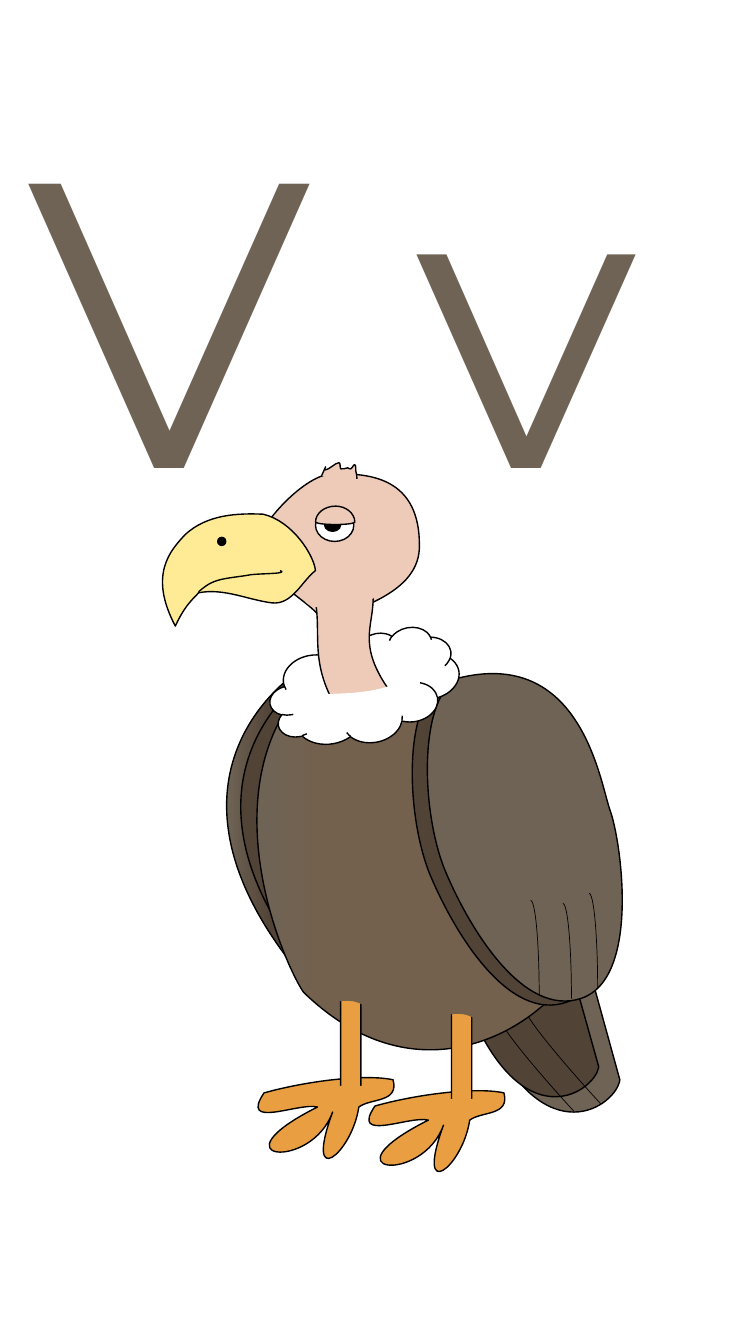
from math import cos, radians, sin

from lxml.etree import SubElement
from pptx import Presentation
from pptx.dml.color import RGBColor
from pptx.enum.shapes import MSO_SHAPE
from pptx.oxml.ns import qn
from pptx.util import Cm, Pt

ARC = MSO_SHAPE.ARC
OVAL = MSO_SHAPE.OVAL
CLOUD = MSO_SHAPE.CLOUD
ROUND = MSO_SHAPE.ROUNDED_RECTANGLE

THEME = {
    "font": "Montserrat", "size": 290, "line": 1, "thin": 0.5,
    "gray": "6E6355", "dark": "514336", "body": "73614E", "skin": "EECAB8",
    "beak": "FFEB95", "foot": "E99E41", "white": "FFFFFF", "black": "000000",
}
INCH = 2.54

LETTERS = ("V v", (0.17, 0.57, 7.93, 4.98))
TAIL = [(4.49, 8.72), (5.51, 8.39), (6.15, 10.71), (6.12, 10.96, 5.41, 11.48, 4.83, 10.21), (4.49, 8.72)]
INNER = [(4.38, 8.71), (5.33, 8.4), (5.94, 10.58), (5.91, 10.81, 5.24, 11.3, 4.7, 10.11), (4.38, 8.71)]
QUILLS = [(5.67, 9.8, 0.17, 2.33), (5.94, 9.7, 0.17, 2.39)]
FAR = [(3.12, 9.83), (1.3, 7.78, 2.85, 6.67, 3.14, 6.55),
       (4.4, 6.67, 4.13, 7.98, 4.13, 8.29), (4.18, 8.87, 3.23, 9.85, 3.12, 9.83)]
BODY = [(3.09, 6.72), (4.38, 6.77), (5.52, 9.84),
        (5.1, 10.31, 4.05, 10.85, 3.01, 9.84), (2.79, 9.51, 2.05, 7.76, 3.09, 6.72)]
FOOT = [(2.62, 10.84), (3.05, 10.72, 3.63, 10.65, 3.9, 10.71),
        (3.96, 10.94, 3.68, 10.89, 3.56, 10.98), (3.49, 11.45, 3.01, 11.82, 3.3, 11.03),
        (3.09, 11.62, 2.09, 11.51, 3.15, 10.98), (2.97, 10.93, 2.37, 11.21, 2.62, 10.84)]
LEG = (3.38, 9.84, 0.2, 1.02)
ANKLE = (3.32, 10.77, 0.3, 0.16)
HIP = [(3.21, 9.95), (3.37, 9.94, 3.52, 9.87, 3.68, 10.03), (3.73, 9.7), (3.26, 9.62), (3.21, 9.95)]
LEGS = [(0, 0), (1.1, 0.13)]
WING = [(4.26, 8.66), (4.03, 8.08, 4, 7, 4.38, 6.77),
        (5.61, 6.45, 5.8, 7.78, 5.9, 8.07), (6.01, 8.36, 6.21, 9.74, 5.62, 9.94),
        (5.04, 10.14, 4.5, 9.24, 4.26, 8.66)]
PLUMES = [(5.5, 8.96), (5.76, 8.86), (5.18, 8.93)]
HEAD = [(2.54, 5.42), (2.57, 5.2, 3.03, 4.7, 3.3, 4.7), (3.57, 4.7, 4.16, 4.68, 4.16, 5.4),
        (4.18, 5.9, 3.47, 6.04, 3.3, 6.15), (3.13, 6.26, 3.26, 6.19, 3.13, 6.07),
        (3.01, 5.94, 2.52, 5.65, 2.54, 5.42)]
BEAK = [(1.84, 5.3), (2.06, 5.1, 2.36, 5.09, 2.61, 5.1), (2.91, 5.17, 3.12, 5.52, 3.13, 5.66),
        (2.99, 5.77, 2.9, 6, 2.7, 5.98), (2.46, 5.95, 2.22, 5.83, 1.97, 5.88),
        (1.93, 5.93, 1.84, 5.99, 1.74, 6.21), (1.47, 5.7, 1.69, 5.46, 1.84, 5.3)]
EYE = (3.13, 5.05, 0.38, 0.32)
PUPIL = (3.22, 5.14, 0.16, 0.13)
RUFF = (2.67, 6.31, 1.9, 1.06)
NECK = [(3.12, 5.91), (3.69, 5.82), (3.76, 6.18, 3.48, 6.35, 3.91, 6.91),
        (3.34, 7.02), (3.06, 6.55, 3.2, 6.28, 3.12, 5.91)]
JAW = (3.01, 5.73, 0.81, 0.29)
MOUTH = [(1.97, 5.87), (2.02, 5.83, 2.06, 5.79, 2.15, 5.76), (2.24, 5.73, 2.39, 5.72, 2.49, 5.7),
         (2.59, 5.69, 2.73, 5.69, 2.78, 5.68), (2.82, 5.67, 2.78, 5.66, 2.78, 5.66)]
BIB = [(3.11, 6.89), (3.43, 6.87, 3.73, 6.9, 4.08, 6.71), (4.14, 7.01), (3.16, 7.19), (3.11, 6.89)]
LID = [(3.13, 5.18), (3.13, 5.09, 3.22, 5.02, 3.33, 5.02),
       (3.43, 5.02, 3.52, 5.09, 3.52, 5.18), (3.49, 5.21, 3.17, 5.21, 3.13, 5.18)]
NOSE = (2.16, 5.33, 0.08, 0.08)
CREST = [(3.19, 4.72), (3.23, 4.63), (3.23, 4.63, 3.21, 4.67, 3.23, 4.66),
         (3.26, 4.66, 3.33, 4.59, 3.36, 4.59), (3.38, 4.58, 3.37, 4.64, 3.38, 4.65),
         (3.4, 4.66, 3.43, 4.64, 3.45, 4.64), (3.46, 4.64, 3.47, 4.66, 3.48, 4.65),
         (3.49, 4.65, 3.51, 4.6, 3.52, 4.61), (3.53, 4.61, 3.53, 4.65, 3.53, 4.67),
         (3.54, 4.7, 3.54, 4.74, 3.54, 4.75)]


def size(val):
    return Cm(val * INCH)


def tint(name):
    return RGBColor.from_string(THEME[name])


def style(shape, fill, line):
    shape.shadow.inherit = False
    if fill is None:
        shape.fill.background()
    elif isinstance(fill, tuple):
        shape.fill.gradient()
        shape.fill.gradient_angle = 0
        for stop, name, spot in zip(shape.fill.gradient_stops, fill, (0, 0.24)):
            stop.color.rgb = tint(name)
            stop.position = spot
    else:
        shape.fill.solid()
        shape.fill.fore_color.rgb = tint(fill)
    if line:
        shape.line.color.rgb = tint("black")
        shape.line.width = Pt(THEME[line])
    else:
        shape.line.fill.background()


def spin(spot, turn):
    x, y = spot
    c, s = cos(radians(turn)), sin(radians(turn))
    return x * c - y * s, x * s + y * c


def trace(steps):
    spots = [steps[0][0]]
    for step in steps[1:]:
        ends = [spots[-1], *step] if len(step) == 3 else [spots[-1], spots[-1], step[0], step[0]]
        for t in (i / 16 for i in range(1, 17)):
            mix = ((1 - t) ** 3, 3 * t * (1 - t) ** 2, 3 * t * t * (1 - t), t ** 3)
            spots.append(tuple(sum(m * e[k] for m, e in zip(mix, ends)) for k in (0, 1)))
    return spots


def draw(bird, route, fill=None, line="line", move=(0, 0), turn=0):
    steps = [[spin((p[i] + move[0], p[i + 1] + move[1]), -turn)
              for i in range(0, len(p), 2)] for p in route]
    xs, ys = zip(*trace(steps))
    left, top, wide, high = min(xs), min(ys), max(xs) - min(xs), max(ys) - min(ys)
    mid = spin((left + wide / 2, top + high / 2), turn)
    closed = route[0] == route[-1][-2:]
    pen = bird.build_freeform(size(left), size(top), scale=1.0)
    pen.add_line_segments([(size(left + wide), size(top + high))], close=closed)
    shape = pen.convert_to_shape()
    shape.left, shape.top = size(mid[0] - wide / 2), size(mid[1] - high / 2)
    shape.rotation = turn
    track = next(shape._element.iter(qn("a:path")))
    for old in list(track):
        track.remove(old)
    for n, step in enumerate(steps):
        tag = "a:moveTo" if n == 0 else "a:cubicBezTo" if len(step) == 3 else "a:lnTo"
        part = SubElement(track, qn(tag))
        for x, y in step:
            SubElement(part, qn("a:pt"), x=str(size(x - left)), y=str(size(y - top)))
    if closed:
        SubElement(track, qn("a:close"))
    style(shape, fill, line)


def stamp(bird, kind, box, fill=None, line="line", move=(0, 0), turn=0, flip=False):
    x, y, w, h = box
    shape = bird.add_shape(kind, size(x + move[0]), size(y + move[1]), size(w), size(h))
    shape.rotation = turn
    if flip:
        shape._element.spPr.find(qn("a:xfrm")).set("flipH", "1")
    style(shape, fill, line)


def write(slide, text, box, font, pts, color):
    area = slide.shapes.add_textbox(*map(size, box))
    area.text_frame.word_wrap = True
    run = area.text_frame.paragraphs[0].add_run()
    run.text = text
    run.font.name, run.font.size = font, Pt(pts)
    run.font.color.rgb = tint(color)


def main():
    deck = Presentation()
    deck.slide_width, deck.slide_height = size(7.5), size(13.33)
    slide = deck.slides.add_slide(deck.slide_layouts[6])
    write(slide, *LETTERS, font=THEME["font"], pts=THEME["size"], color="gray")
    bird = slide.shapes.add_group_shape().shapes
    draw(bird, TAIL, "gray", turn=341.5)
    draw(bird, INNER, "dark", turn=341.5)
    for box in QUILLS:
        stamp(bird, ARC, box, line="thin", turn=317.4, flip=True)
    draw(bird, FAR, ("gray", "dark"))
    draw(bird, FAR, "dark", move=(0.14, 0.01))
    draw(bird, BODY, ("gray", "body"))
    for move in LEGS:
        draw(bird, FOOT, "foot", move=move)
        stamp(bird, ROUND, LEG, "foot", move=move)
        stamp(bird, ROUND, ANKLE, "foot", None, move)
    for move in LEGS:
        draw(bird, HIP, "body", None, move, turn=9.7)
    draw(bird, WING, "dark", turn=339.9)
    draw(bird, WING, "gray", move=(0.15, -0.04), turn=339.9)
    for spot in PLUMES:
        stamp(bird, ARC, (*spot, 0.17, 1.89), line="thin")
    draw(bird, HEAD, "skin")
    draw(bird, BEAK, "beak")
    stamp(bird, OVAL, EYE, "white")
    stamp(bird, OVAL, PUPIL, "black")
    stamp(bird, CLOUD, RUFF, "white", turn=349.5)
    draw(bird, NECK, "skin", turn=349.8)
    stamp(bird, OVAL, JAW, "skin", None, turn=350.4)
    draw(bird, MOUTH)
    draw(bird, BIB, "white", None, turn=349.8)
    draw(bird, LID, "skin")
    stamp(bird, OVAL, NOSE, "black")
    draw(bird, CREST, "skin")
    deck.save("out.pptx")


if __name__ == "__main__":
    main()
